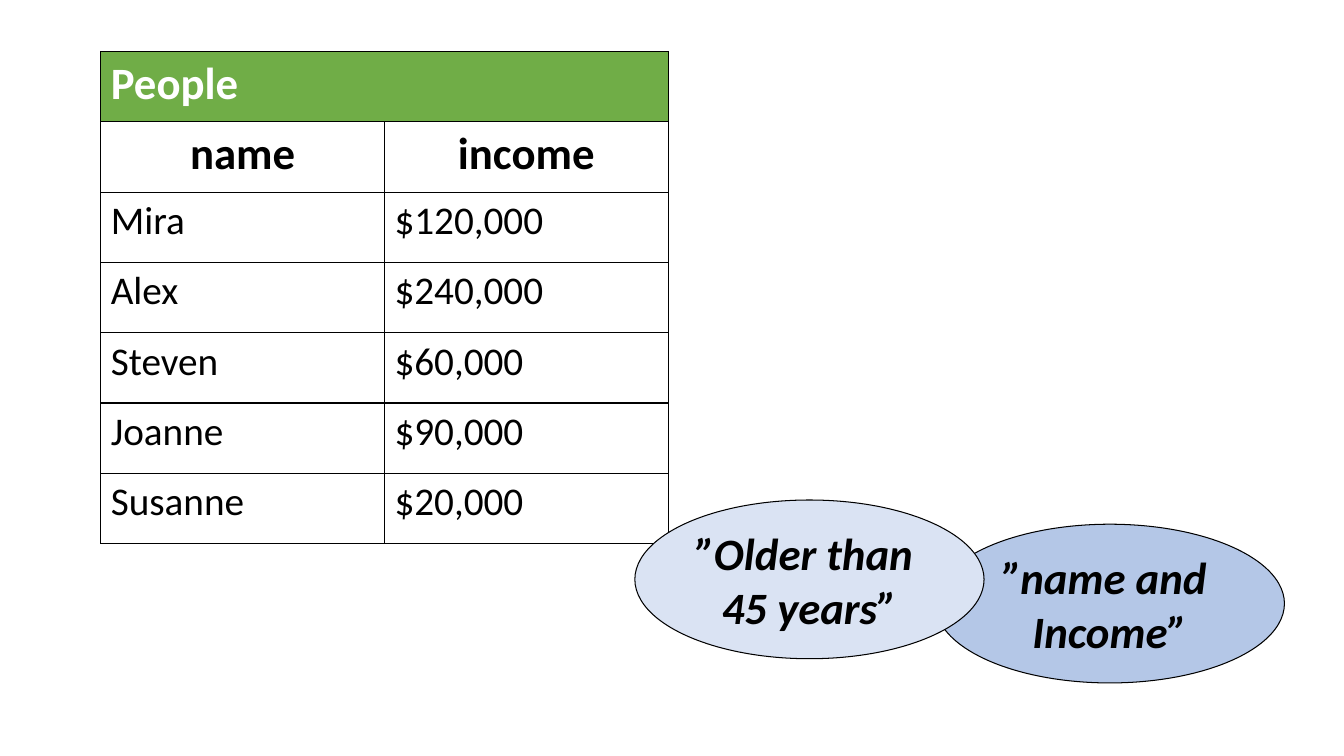
from lxml import etree
from pptx import Presentation
from pptx import util as u
from pptx.dml.color import RGBColor
from pptx.enum import shapes, text
from pptx.oxml import ns

BLACK = RGBColor(0x00, 0x00, 0x00)
WHITE = RGBColor(0xFF, 0xFF, 0xFF)
GREEN = RGBColor(0x70, 0xAD, 0x47)
BLUE = RGBColor(0xB4, 0xC7, 0xE7)
PALE_BLUE = RGBColor(0xDA, 0xE3, 0xF3)
FONT = "Calibri"

PEOPLE = [
    ("People", ""),
    ("name", "income"),
    ("Mira", "$120,000"),
    ("Alex", "$240,000"),
    ("Steven", "$60,000"),
    ("Joanne", "$90,000"),
    ("Susanne", "$20,000"),
]


def set_font(p, size, color=BLACK, bold=False, italic=False):
    p.font.name, p.font.size = FONT, u.Pt(size)
    p.font.bold, p.font.italic = bold, italic
    p.font.color.rgb = color


def add_borders(cell, color=BLACK, width=1):
    """Line all four sides; border elements must precede the fill."""
    tc_pr = cell._tc.get_or_add_tcPr()
    for i, side in enumerate(("lnL", "lnR", "lnT", "lnB")):
        ln = etree.Element(ns.qn(f"a:{side}"), w=str(u.Pt(width)))
        fill = etree.SubElement(ln, ns.qn("a:solidFill"))
        etree.SubElement(fill, ns.qn("a:srgbClr"), val=str(color))
        tc_pr.insert(i, ln)


def add_people_table(s, left, top, width, height):
    rows, cols = len(PEOPLE), len(PEOPLE[0])
    table = s.shapes.add_table(rows, cols, u.Cm(left), u.Cm(top),
                               u.Cm(width), u.Cm(height)).table
    for row in table.rows:
        row.height = u.Cm(height / rows)
    table.cell(0, 0).merge(table.cell(0, cols - 1))

    for r, values in enumerate(PEOPLE):
        for c, value in enumerate(values):
            cell = table.cell(r, c)
            if r == 0:
                cell.fill.solid()
                cell.fill.fore_color.rgb = GREEN
            else:
                cell.fill.background()
            add_borders(cell)
            cell.text = value
            p = cell.text_frame.paragraphs[0]
            heading = r < 2
            set_font(p, 32 if heading else 28, WHITE if r == 0 else BLACK, heading)
            if r == 1:
                p.alignment = text.PP_ALIGN.CENTER


def add_query_ellipse(s, left, top, width, height, lines, color):
    sp = s.shapes.add_shape(shapes.MSO_SHAPE.OVAL, u.Cm(left), u.Cm(top),
                            u.Cm(width), u.Cm(height))
    sp.shadow.inherit = False
    sp.fill.solid()
    sp.fill.fore_color.rgb = color
    sp.line.color.rgb = BLACK
    sp.line.width = u.Pt(0.75)
    tf = sp.text_frame
    tf.word_wrap = False
    tf.vertical_anchor = text.MSO_ANCHOR.MIDDLE
    tf.text = "\n".join(lines)
    for p in tf.paragraphs:
        p.alignment = text.PP_ALIGN.CENTER
        set_font(p, 32, bold=True, italic=True)


prs = Presentation()
prs.slide_width, prs.slide_height = u.Cm(33.87), u.Cm(19.05)
s = prs.slides.add_slide(prs.slide_layouts[6])

# Table of people
add_people_table(s, 2.54, 1.3, 14.3, 12.4)

# Overlapping queries, rear one first
add_query_ellipse(s, 23.57, 13.21, 8.8, 4, ("”name and ", "Income”"), BLUE)
add_query_ellipse(s, 16, 12.6, 8.8, 4, ("”Older than ", "45 years”"), PALE_BLUE)

prs.save("out.pptx")
